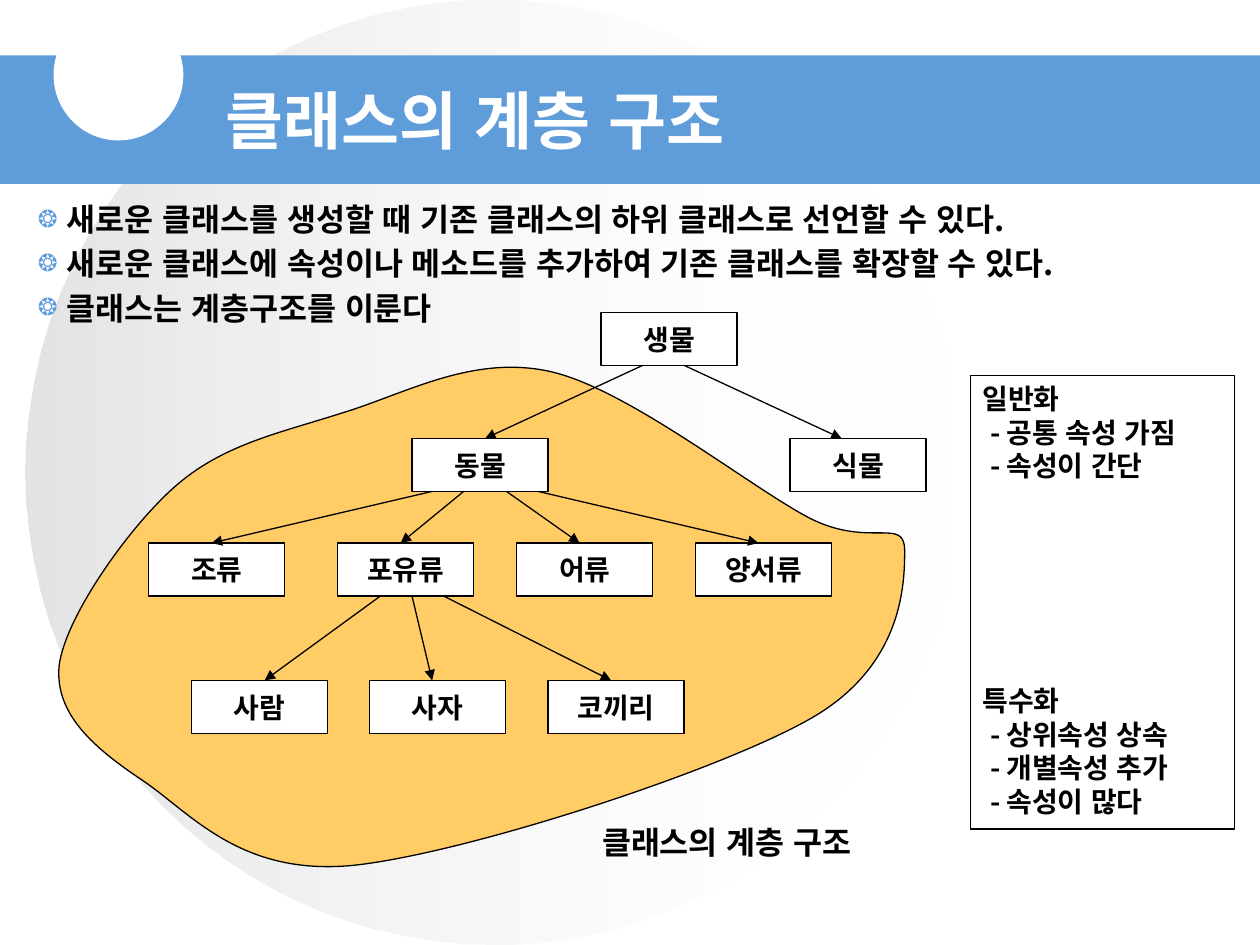
"""Build a slide on class hierarchy: key points, a tree of living things and a comparison panel."""
from lxml import etree
from pptx import Presentation
from pptx.dml.color import RGBColor
from pptx.enum.shapes import MSO_CONNECTOR, MSO_SHAPE
from pptx.enum.text import MSO_ANCHOR, MSO_AUTO_SIZE, PP_ALIGN
from pptx.oxml.ns import qn
from pptx.util import Inches, Pt

THEME = {
    "blue": "5E9CDA", "white": "FFFFFF", "black": "000000",
    "amber": "FFCC66", "grey": "C0C0C0",
    "font": "Noto Sans CJK KR", "label_font": "Arial",
    "title": 36, "body": 18, "label": 16, "leading": 1.2, "line": 0.75,
}

TITLE = "클래스의 계층 구조"
POINTS = [
    "새로운 클래스를 생성할 때 기존 클래스의 하위 클래스로 선언할 수 있다.",
    "새로운 클래스에 속성이나 메소드를 추가하여 기존 클래스를 확장할 수 있다.",
    "클래스는 계층구조를 이룬다",
]
CAPTION = "클래스의 계층 구조"
PANEL = [
    ("일반화", ["- 공통 속성 가짐", "- 속성이 간단"]),
    ("특수화", ["- 상위속성 상속", "- 개별속성 추가", "- 속성이 많다"]),
]
PANEL_GAP = 115

NODE_SIZE = (1.08, 0.42)
TREE_ROWS = [
    (2.48, [("생물", 4.77)]),
    (3.48, [("동물", 3.27), ("식물", 6.27)]),
    (4.31, [("조류", 1.18), ("포유류", 2.68), ("어류", 4.1), ("양서류", 5.52)]),
    (5.4, [("사람", 1.52), ("사자", 2.93), ("코끼리", 4.35)]),
]
BRANCHES = [
    (2.9, 3.48, [(5.1, 3.85), (5.43, 6.68)]),
    (3.9, 4.31, [(3.43, 1.68), (3.68, 3.18), (4.02, 4.6), (4.27, 6.02)]),
    (4.73, 5.4, [(3.02, 2.1), (3.27, 3.43), (3.52, 4.85)]),
]
REGION_START = (1.14, 6.2)
REGION_CURVES = [
    ((0.75, 5.94), (0.43, 5.67), (0.47, 5.28)),
    ((0.52, 4.9), (1.01, 4.2), (1.38, 3.87)),
    ((1.76, 3.53), (2.21, 3.44), (2.71, 3.28)),
    ((3.21, 3.13), (3.75, 2.81), (4.37, 2.95)),
    ((4.99, 3.09), (5.97, 3.88), (6.44, 4.12)),
    ((6.91, 4.35), (7.18, 4.1), (7.18, 4.37)),
    ((7.18, 4.63), (7.17, 5.28), (6.44, 5.7)),
    ((5.71, 6.12), (3.68, 6.78), (2.79, 6.87)),
    ((1.91, 6.95), (1.52, 6.46), (1.14, 6.2)),
]


def color(name):
    return RGBColor.from_string(THEME[name])


def place(shape, left, top, width, height):
    shape.left, shape.top = Inches(left), Inches(top)
    shape.width, shape.height = Inches(width), Inches(height)


def paint(shape, fill=None, line=None):
    shape.shadow.inherit = False
    if fill:
        shape.fill.solid()
        shape.fill.fore_color.rgb = color(fill)
    else:
        shape.fill.background()
    if line:
        shape.line.color.rgb = color(line)
        shape.line.width = Pt(THEME["line"])
    else:
        shape.line.fill.background()


def add_box(slide, kind, box, fill=None, line=None):
    shape = slide.shapes.add_shape(kind, *map(Inches, box))
    paint(shape, fill, line)
    return shape


def prepare_frame(shape, anchor=MSO_ANCHOR.TOP):
    frame = shape.text_frame
    frame.word_wrap = True
    frame.auto_size = MSO_AUTO_SIZE.NONE
    frame.vertical_anchor = anchor
    return frame


def add_line(frame, text, size, font="font", ink="black", align=PP_ALIGN.LEFT, before=0):
    first = frame.paragraphs[0]
    paragraph = frame.add_paragraph() if first.runs else first
    paragraph.alignment = align
    paragraph.line_spacing = Pt(THEME[size] * THEME["leading"])
    paragraph.space_before = Pt(before)
    run = paragraph.add_run()
    run.text = text
    run.font.name = THEME[font]
    run.font.size = Pt(THEME[size])
    run.font.bold = True
    run.font.color.rgb = color(ink)
    east_asian = etree.SubElement(run._r.get_or_add_rPr(), qn("a:ea"))
    east_asian.set("typeface", THEME["label_font"])
    return paragraph


def set_indent(paragraph, left, hanging=0):
    properties = paragraph._p.get_or_add_pPr()
    properties.set("marL", str(Inches(left)))
    properties.set("indent", str(-Inches(hanging)))
    return properties


def add_bullet(paragraph):
    properties = set_indent(paragraph, 0.23, 0.23)
    bullet_color = etree.SubElement(properties, qn("a:buClr"))
    etree.SubElement(bullet_color, qn("a:srgbClr")).set("val", THEME["blue"])
    etree.SubElement(properties, qn("a:buSzPct")).set("val", "75000")
    etree.SubElement(properties, qn("a:buChar")).set("char", "❂")


def add_backdrop(slide):
    circle = add_box(slide, MSO_SHAPE.OVAL, (0.2, 0, 7.44, 7.5))
    circle.fill.gradient()
    circle.fill.gradient_angle = 0
    for stop, name, alpha in zip(circle.fill.gradient_stops, ("grey", "white"), (44, 0)):
        stop.color.rgb = color(name)
        tint = stop._gs.find(qn("a:srgbClr"))
        etree.SubElement(tint, qn("a:alpha")).set("val", str(alpha * 1000))
    add_box(slide, MSO_SHAPE.RECTANGLE, (0, 0.44, 10, 1.02), "blue")
    add_box(slide, MSO_SHAPE.OVAL, (0.43, 0.08, 1.02, 1.03), "white", "white")


def add_headings(slide):
    title, body = slide.placeholders
    for placeholder in (title, body):
        slide.shapes._spTree.append(placeholder._element)
    place(title, 1.69, 0.6, 5.43, 0.6)
    add_line(prepare_frame(title), TITLE, "title", ink="white")
    place(body, 0.2, 1.54, 9.61, 1.13)
    frame = prepare_frame(body)
    for index, point in enumerate(POINTS):
        add_bullet(add_line(frame, point, "body", before=3.6 if index else 0))


def add_panel(slide):
    frame = prepare_frame(
        add_box(slide, MSO_SHAPE.RECTANGLE, (7.7, 2.98, 2.1, 3.6), line="black"))
    for index, (heading, items) in enumerate(PANEL):
        add_line(frame, heading, "label", before=PANEL_GAP if index else 0)
        for item in items:
            set_indent(add_line(frame, item, "label"), 0.06)


def add_region(slide):
    builder = slide.shapes.build_freeform(*map(Inches, REGION_START))
    builder.add_line_segments(
        [tuple(map(Inches, point)) for curve in REGION_CURVES for point in curve], close=True)
    region = builder.convert_to_shape()
    segments = list(region._element.iter(qn("a:lnTo")))
    for index in range(0, len(segments), 3):
        curve = etree.Element(qn("a:cubicBezTo"))
        segments[index].addprevious(curve)
        for segment in segments[index:index + 3]:
            curve.append(segment[0])
            segment.getparent().remove(segment)
    paint(region, "amber", "black")


def add_tree(slide):
    for top, nodes in TREE_ROWS:
        for name, left in nodes:
            node = add_box(slide, MSO_SHAPE.RECTANGLE, (left, top, *NODE_SIZE), "white", "black")
            add_line(prepare_frame(node, MSO_ANCHOR.MIDDLE), name, "label",
                     "label_font", align=PP_ALIGN.CENTER)
    for top, bottom, spans in BRANCHES:
        for start, end in spans:
            arrow = slide.shapes.add_connector(
                MSO_CONNECTOR.STRAIGHT, *map(Inches, (start, top, end, bottom)))
            arrow.line.color.rgb = color("black")
            arrow.line.width = Pt(THEME["line"])
            etree.SubElement(arrow.line._get_or_add_ln(), qn("a:tailEnd")).set("type", "triangle")
            etree.SubElement(arrow._element.spPr, qn("a:effectLst"))


def main():
    presentation = Presentation()
    presentation.slide_width, presentation.slide_height = Inches(10), Inches(7.5)
    slide = presentation.slides.add_slide(presentation.slide_layouts[1])
    add_backdrop(slide)
    add_headings(slide)
    add_panel(slide)
    add_region(slide)
    add_tree(slide)
    caption = slide.shapes.add_textbox(*map(Inches, (4.68, 6.48, 3.03, 0.5)))
    add_line(prepare_frame(caption), CAPTION, "body", "label_font")
    presentation.save("out.pptx")


if __name__ == "__main__":
    main()
